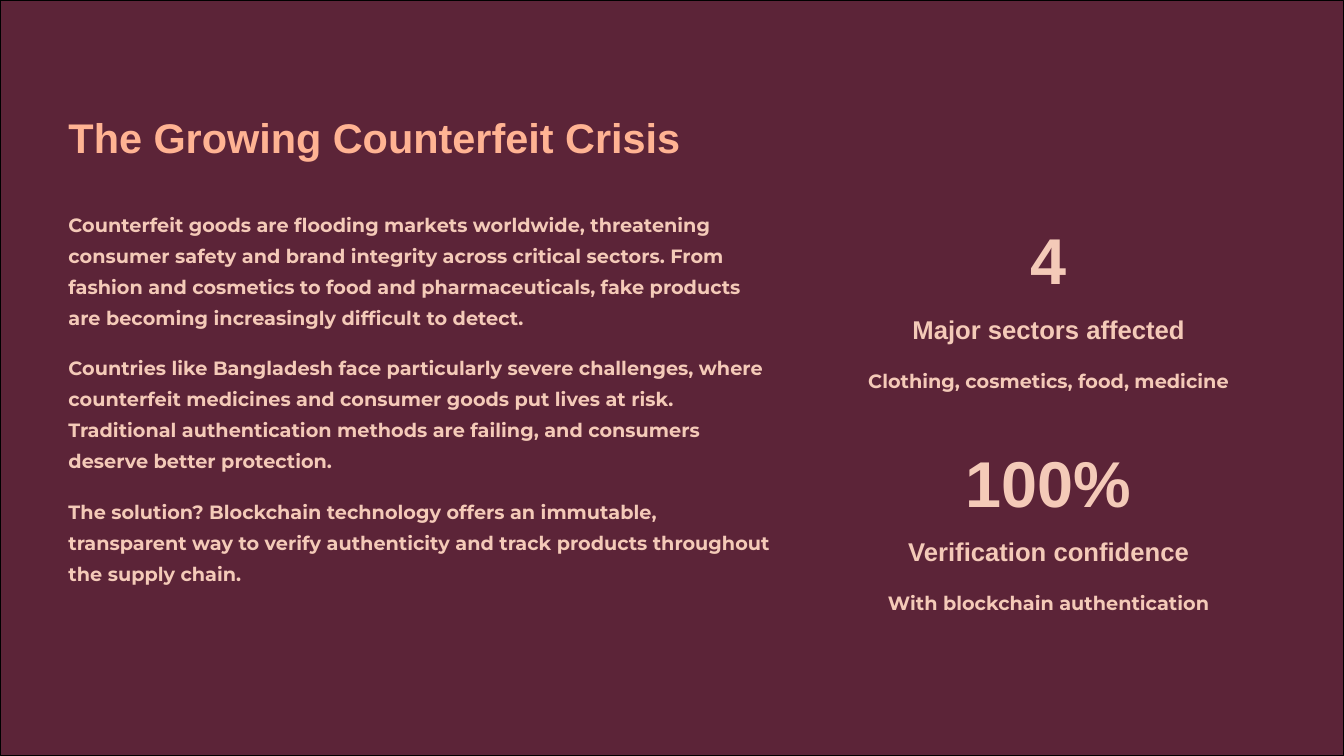
from dataclasses import dataclass

from pptx import Presentation
from pptx.dml.color import RGBColor
from pptx.enum.shapes import MSO_SHAPE
from pptx.enum.text import MSO_AUTO_SIZE, PP_ALIGN
from pptx.util import Cm, Pt


@dataclass(frozen=True)
class TextStyle:
    font: str
    size: float
    line: float
    color: str


@dataclass(frozen=True)
class Theme:
    background: str = "5C2438"
    outline: str = "000000"
    title: TextStyle = TextStyle("Arial", 44.4, 55.6, "FFB393")
    body: TextStyle = TextStyle("Montserrat", 20.6, 33.1, "F4CAB8")
    figure: TextStyle = TextStyle("Arial", 69.4, 69.4, "F4CAB8")
    label: TextStyle = TextStyle("Arial", 27.5, 35, "F4CAB8")


THEME = Theme()
SLIDE_W, SLIDE_H = 50.8, 28.58

TITLE = "The Growing Counterfeit Crisis"
# Each passage with the height of its box
PASSAGES = [
    ("Counterfeit goods are flooding markets worldwide, threatening consumer safety "
     "and brand integrity across critical sectors. From fashion and cosmetics to food "
     "and pharmaceuticals, fake products are becoming increasingly difficult to detect.", 5),
    ("Countries like Bangladesh face particularly severe challenges, where counterfeit "
     "medicines and consumer goods put lives at risk. Traditional authentication methods "
     "are failing, and consumers deserve better protection.", 5),
    ("The solution? Blockchain technology offers an immutable, transparent way to verify "
     "authenticity and track products throughout the supply chain.", 3.81),
]
# Figure, label, label width, detail
STATS = [
    ("4", "Major sectors affected", 10.62, "Clothing, cosmetics, food, medicine"),
    ("100%", "Verification confidence", 11.18, "With blockchain authentication"),
]


def add_text(slide, text, left, top, width, height, style, align=PP_ALIGN.LEFT):
    frame = slide.shapes.add_textbox(Cm(left), Cm(top), Cm(width), Cm(height)).text_frame
    frame.margin_left = frame.margin_right = frame.margin_top = frame.margin_bottom = 0
    frame.word_wrap = True
    frame.auto_size = MSO_AUTO_SIZE.SHAPE_TO_FIT_TEXT
    frame.text = text
    paragraph = frame.paragraphs[0]
    paragraph.alignment = align
    paragraph.line_spacing = Pt(style.line)
    font = paragraph.runs[0].font
    font.name, font.size, font.bold = style.font, Pt(style.size), True
    font.color.rgb = RGBColor.from_string(style.color)


def add_background(slide):
    backdrop = slide.shapes.add_shape(MSO_SHAPE.RECTANGLE, 0, 0, Cm(SLIDE_W), Cm(SLIDE_H))
    backdrop.shadow.inherit = False
    backdrop.fill.solid()
    backdrop.fill.fore_color.rgb = RGBColor.from_string(THEME.background)
    backdrop.line.color.rgb = RGBColor.from_string(THEME.outline)
    backdrop.line.width = Pt(1)


def add_story(slide, left, top, width, pitch):
    for row, (passage, height) in enumerate(PASSAGES):
        add_text(slide, passage, left, top + row * pitch, width, height, THEME.body)


def add_stat(slide, left, top, width, stat):
    figure, label, label_width, detail = stat
    label_left = left + (width - label_width) / 2
    center = PP_ALIGN.CENTER
    add_text(slide, figure, left, top, width, 2.18, THEME.figure, center)
    add_text(slide, label, label_left, top + 2.97, label_width, 1.37, THEME.label, center)
    add_text(slide, detail, left, top + 4.85, width, 1.42, THEME.body, center)


def main():
    deck = Presentation()
    deck.slide_width, deck.slide_height = Cm(SLIDE_W), Cm(SLIDE_H)
    slide = deck.slides.add_slide(deck.slide_layouts[6])

    add_background(slide)
    # Left column: title and story
    add_text(slide, TITLE, 2.59, 4.14, 23.72, 2.08, THEME.title)
    add_story(slide, left=2.59, top=7.77, width=26.64, pitch=5.42)
    # Right column: key figures
    for row, stat in enumerate(STATS):
        add_stat(slide, 31.06, 8.81 + row * 8.41, 17.15, stat)

    deck.save("out.pptx")


if __name__ == "__main__":
    main()
